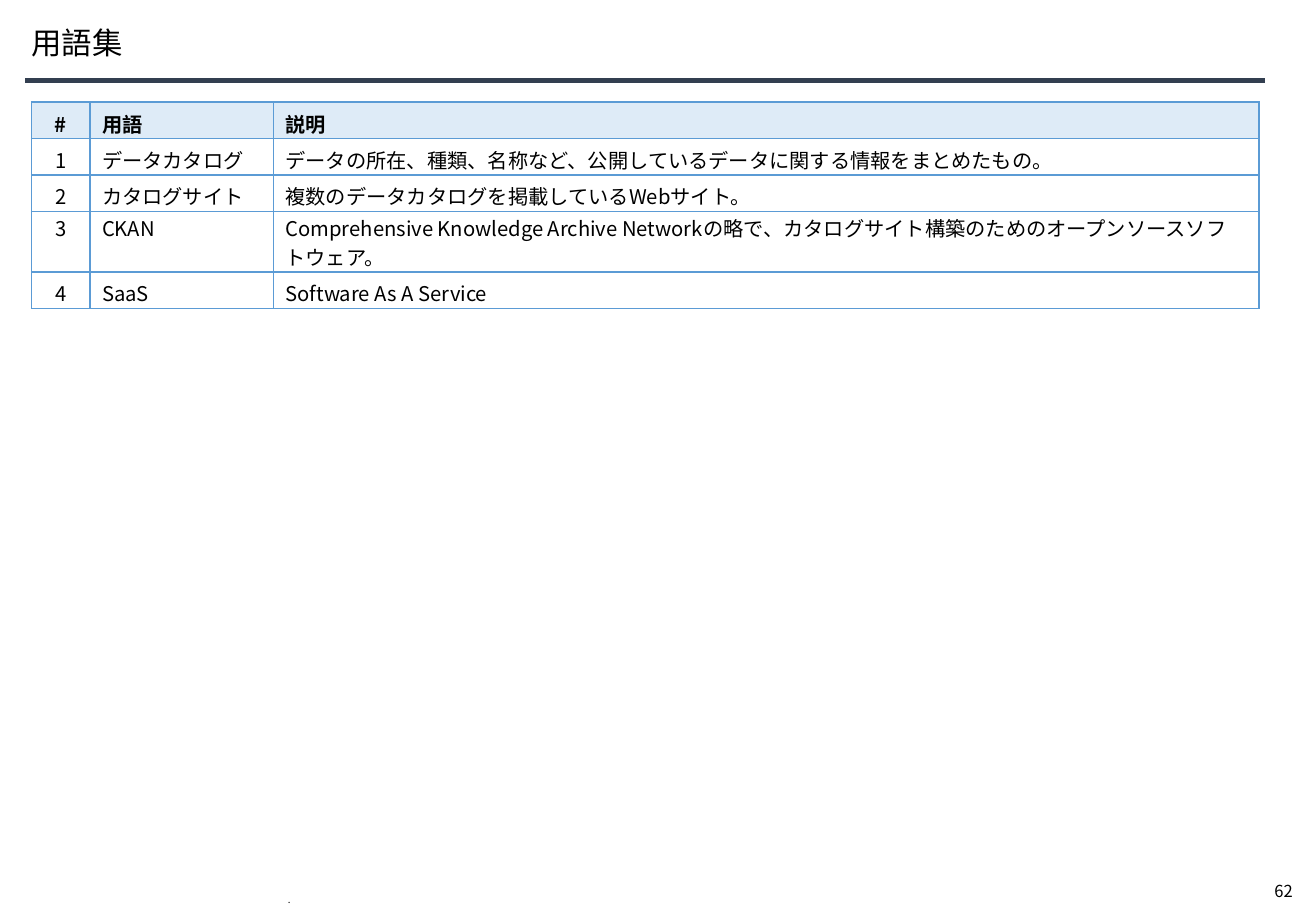
from dataclasses import dataclass
from typing import NamedTuple

from lxml.etree import SubElement
from pptx import Presentation
from pptx.dml.color import RGBColor
from pptx.enum.shapes import MSO_CONNECTOR
from pptx.enum.text import MSO_ANCHOR, PP_ALIGN
from pptx.oxml.ns import qn
from pptx.util import Emu, Pt

EMU_PER_PX = 9144  # 100 px to the inch


@dataclass(frozen=True)
class Theme:
    font: str = "Noto Sans CJK JP"
    text: str = "000000"
    rule: str = "333F50"
    border: str = "5B9BD5"
    header_fill: str = "DEEBF7"
    title_size: float = 18
    table_size: float = 12
    number_size: float = 9.8
    footer_size: float = 5.7


class Box(NamedTuple):
    left: int
    top: int
    width: int
    height: int


class TableRow(NamedTuple):
    cells: tuple[str, str, str]
    height: int = 30
    margin_top: int = 5
    header: bool = False


THEME = Theme()
COLUMN_WIDTHS = (48, 151, 811)
GLOSSARY = (
    TableRow(("#", "用語", "説明"), header=True),
    TableRow(("1", "データカタログ",
              "データの所在、種類、名称など、公開しているデータに関する情報をまとめたもの。")),
    TableRow(("2", "カタログサイト", "複数のデータカタログを掲載しているWebサイト。")),
    TableRow(("3", "CKAN",
              "Comprehensive Knowledge Archive Networkの略で、"
              "カタログサイト構築のためのオープンソースソフトウェア。"),
             height=50, margin_top=1),
    TableRow(("4", "SaaS", "Software As A Service")),
)


def px(n: int) -> Emu:
    return Emu(n * EMU_PER_PX)


def write(tf, text: str, *, size: float, bold: bool = False,
          align=PP_ALIGN.LEFT, spacing=None) -> None:
    p = tf.paragraphs[0]
    p.alignment = align
    p.line_spacing = spacing
    r = p.add_run()
    r.text = text
    r.font.size = Pt(size)
    r.font.bold = bold
    r.font.name = THEME.font
    r.font.color.rgb = RGBColor.from_string(THEME.text)
    SubElement(r.font._element, qn("a:ea"), typeface=THEME.font)


def add_text(s, box: Box, text: str, *, wrap: bool = True,
             anchor=MSO_ANCHOR.TOP, **fmt) -> None:
    tf = s.shapes.add_textbox(*map(px, box)).text_frame
    tf.word_wrap = wrap
    tf.vertical_anchor = anchor
    write(tf, text, **fmt)


def add_title(s, box: Box, text: str) -> None:
    sp = s.shapes.title
    sp.left, sp.top, sp.width, sp.height = map(px, box)
    tf = sp.text_frame
    tf.margin_left = 0
    tf.vertical_anchor = MSO_ANCHOR.MIDDLE
    write(tf, text, size=THEME.title_size, spacing=0.9)


def add_rule(s, left: int, right: int, y: int) -> None:
    line = s.shapes.add_connector(
        MSO_CONNECTOR.STRAIGHT, px(left), px(y), px(right), px(y))
    line.line.color.rgb = RGBColor.from_string(THEME.rule)
    line.line.width = Pt(3)
    SubElement(line._element.spPr, qn("a:effectLst"))


def add_borders(cell) -> None:
    tc_pr = cell._tc.get_or_add_tcPr()
    for side in ("lnL", "lnR", "lnT", "lnB"):
        ln = SubElement(tc_pr, qn(f"a:{side}"), w=str(Pt(1)))
        fill = SubElement(ln, qn("a:solidFill"))
        SubElement(fill, qn("a:srgbClr"), val=THEME.border)


def add_glossary(s, left: int, top: int) -> None:
    height = sum(row.height for row in GLOSSARY)
    box = Box(left, top, sum(COLUMN_WIDTHS), height)
    table = s.shapes.add_table(
        len(GLOSSARY), len(COLUMN_WIDTHS), *map(px, box)).table
    table.horz_banding = False
    for column, width in zip(table.columns, COLUMN_WIDTHS):
        column.width = px(width)
    for i, row in enumerate(GLOSSARY):
        table.rows[i].height = px(row.height)
        for j, text in enumerate(row.cells):
            cell = table.cell(i, j)
            cell.margin_top, cell.margin_bottom = px(row.margin_top), 0
            add_borders(cell)
            if row.header:
                cell.vertical_anchor = MSO_ANCHOR.MIDDLE
                cell.fill.solid()
                cell.fill.fore_color.rgb = RGBColor.from_string(THEME.header_fill)
            else:
                cell.fill.background()
            write(cell.text_frame, text, size=THEME.table_size, bold=row.header,
                  align=PP_ALIGN.LEFT if j else PP_ALIGN.CENTER)


def main() -> None:
    prs = Presentation()
    prs.slide_width, prs.slide_height = px(1083), px(750)
    s = prs.slides.add_slide(prs.slide_layouts[5])
    add_text(s, Box(1039, 720, 43, 27), "62", wrap=False, size=THEME.number_size)
    add_rule(s, 21, 1041, 66)
    add_text(s, Box(227, 736, 630, 14), ".", anchor=MSO_ANCHOR.BOTTOM,
             size=THEME.footer_size, spacing=Pt(1.6))
    add_glossary(s, 26, 84)
    add_title(s, Box(26, 13, 992, 47), "用語集")
    prs.save("out.pptx")


if __name__ == "__main__":
    main()
